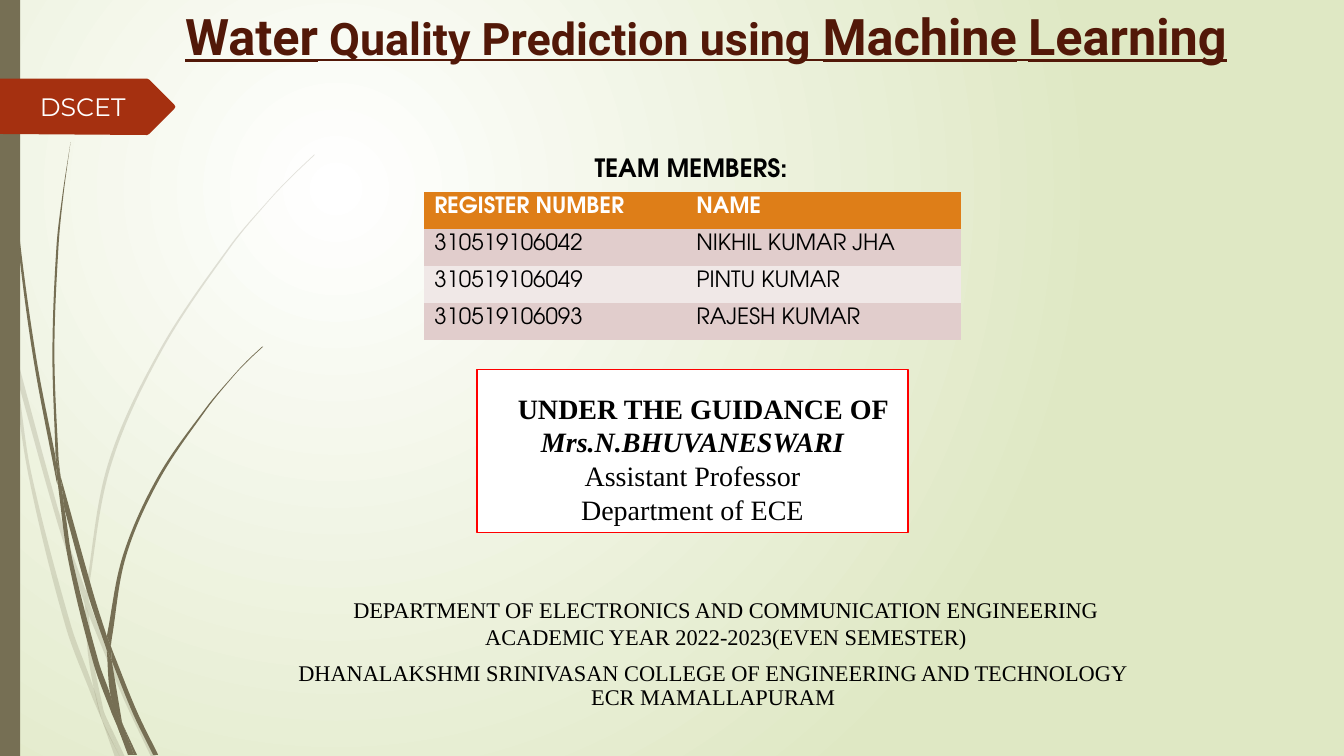
from dataclasses import dataclass
from math import hypot

from lxml.etree import SubElement
from pptx import Presentation
from pptx.dml.color import RGBColor
from pptx.enum.shapes import MSO_SHAPE
from pptx.enum.text import MSO_ANCHOR, PP_ALIGN
from pptx.oxml.ns import qn
from pptx.util import Emu, Pt

COLUMNS, ROWS, CELL = 160, 90, 76200
BLADE_CELLS = 12
NO_TABLE_STYLE = "{2D5ABB26-0587-4C30-8999-92F81FD0307C}"


@dataclass(frozen=True)
class Theme:
    black: str = "000000"
    white: str = "FFFFFF"
    meadow: str = "DFE8C4"
    stem: str = "766F54"
    badge: str = "A53010"
    title: str = "521808"
    frame: str = "FF0000"
    header: str = "DE7E18"
    bands: tuple = ("E1CDCC", "F0E8E7")
    serif: str = "Times New Roman"
    heading: str = "Roboto"
    roster: str = "TeX Gyre Adventor"
    label: str = "Montserrat"
    large: int = 36
    big: int = 32
    medium: int = 20
    normal: int = 18
    small: int = 16


THEME = Theme()
FAINT_BLADES = [
    ([(0, 2.82), (.09, 3.22), (.11, 3.5)], [(.1, 3.44), (0, 2.99)]),
    ([(.14, 3.45), (.62, 5.2), (.85, 5.86)], [(.84, 5.99), (.58, 5.22), (.17, 3.76)]),
    ([(.88, 5.96), (.92, 6.07), (1.27, 6.92), (1.55, 7.51)], [(1.5, 7.51), (1.23, 6.94), (.88, 6.1)]),
    ([(1.05, 7.11), (1.24, 7.51)], [(1.19, 7.51)]),
    ([(.11, 3.5), (.17, 3.76), (.31, 4.69), (.7, 6.19), (.93, 6.83), (1.01, 7.14)],
     [(.92, 6.93), (.65, 6.21), (.28, 4.7), (.11, 3.5)]),
    ([(.84, 5.99), (.88, 6.1), (.91, 6.46), (1.03, 7.06), (1.05, 7.11)],
     [(.96, 6.92), (.93, 6.83), (.87, 6.46), (.84, 5.99)]),
    ([(3.12, 1.53), (2.89, 1.75), (2.68, 1.97), (2.28, 2.44), (1.58, 3.48), (1.07, 4.61), (.85, 5.86)],
     [(.88, 5.96), (.88, 5.84), (1.1, 4.62), (1.6, 3.49), (2.29, 2.45), (2.68, 1.98), (2.9, 1.75), (3.12, 1.54)]),
    ([(1.01, 7.14), (1.14, 7.51)], [(1.19, 7.51)]),
    ([(.85, 5.86), (.84, 5.99)], [(.88, 6.1), (.88, 5.96)]),
    ([(.93, 6.83), (1.01, 7.14), (1.19, 7.51)], [(1.05, 7.11), (.96, 6.92)]),
]
DARK_BLADES = [
    ([(.03, 0), (.04, .48), (.07, 1.1), (.17, 2.33), (.33, 3.55), (.56, 4.77), (.57, 4.81)],
     [(.55, 4.53), (.36, 3.55), (.19, 2.32), (.08, 1.09), (.05, .48), (.04, 0)]),
    ([(.6, 4.72), (.93, 5.9), (1.06, 6.31)], [(1.06, 6.45), (.88, 5.92), (.64, 5.05)]),
    ([(1.1, 6.41), (1.13, 6.49), (1.36, 7.06), (1.57, 7.49)], [(1.52, 7.49), (1.32, 7.08), (1.11, 6.56)]),
    ([(.57, 4.77), (.64, 5.05), (.72, 5.56), (.98, 6.57), (1.1, 6.91), (1.17, 7.22)],
     [(1.11, 7.08), (.93, 6.59), (.68, 5.57), (.57, 4.77)]),
    ([(.7, 1.41), (.62, 1.93), (.56, 2.45), (.52, 3.49), (.55, 4.49)],
     [(.6, 4.72), (.58, 4.53), (.54, 3.49), (.58, 2.45), (.63, 1.93), (.7, 1.41)]),
    ([(1.22, 7.19), (1.36, 7.49)], [(1.33, 7.49)]),
    ([(.55, 4.49), (.57, 4.77), (.64, 5.05)], [(.6, 4.72)]),
    ([(2.6, 3.44), (2.45, 3.58), (2.31, 3.73), (2.04, 4.05), (1.56, 4.74), (1.22, 5.51), (1.06, 6.31)],
     [(1.1, 6.41), (1.11, 6.33), (1.25, 5.52), (1.58, 4.76), (2.05, 4.06), (2.31, 3.74), (2.45, 3.59), (2.61, 3.44)]),
    ([(1.17, 7.22), (1.27, 7.49)], [(1.31, 7.49)]),
    ([(1.06, 6.45), (1.1, 6.91), (1.22, 7.19)], [(1.21, 7.16), (1.11, 6.56)]),
    ([(1.06, 6.31), (1.06, 6.45)], [(1.11, 6.56), (1.1, 6.41)]),
    ([(1.1, 6.91), (1.17, 7.22), (1.3, 7.49)], [(1.33, 7.49), (1.22, 7.19), (1.16, 7.06)]),
]
BADGE = [(0, .78), (1.46, .78), (1.48, .79), (1.73, 1.04), (1.74, 1.06), (1.73, 1.08),
         (1.48, 1.33), (1.46, 1.34), (0, 1.33)]
TEAM = [("REGISTER NUMBER", "NAME"), ("310519106042", "NIKHIL KUMAR JHA"),
        ("310519106049", "PINTU KUMAR"), ("310519106093", "RAJESH KUMAR")]


def grid(*lengths):
    return [Emu(round(length * CELL)) for length in lengths]


def paint(target, color):
    target.solid()
    target.fore_color.rgb = RGBColor.from_string(color)


def paint_background(page):
    fill = page.background.fill
    fill.gradient()
    for stop, color in zip(fill.gradient_stops, (THEME.white, THEME.meadow)):
        stop.color.rgb = RGBColor.from_string(color)
    gradient = next(page.background._cSld.iter(qn("a:gradFill")))
    for line in gradient.findall(qn("a:lin")):
        gradient.remove(line)
    circle = SubElement(gradient, qn("a:path"), path="circle")
    SubElement(circle, qn("a:fillToRect"), l="50000", t="50000", r="100000", b="100000")


def add_outline(page, points, color):
    corners = [grid(x * BLADE_CELLS, y * BLADE_CELLS) for x, y in points]
    builder = page.shapes.build_freeform(*corners[0], scale=1.0)
    builder.add_line_segments(corners[1:], close=True)
    shape = builder.convert_to_shape()
    shape.shadow.inherit = False
    shape.line.fill.background()
    paint(shape.fill, color)
    return shape


def handle(knots, index, other):
    (x, y), (ax, ay) = knots[index], knots[other]
    (bx, by), (cx, cy) = knots[max(index - 1, 0)], knots[min(index + 1, len(knots) - 1)]
    reach = hypot(ax - x, ay - y) / 3 / (hypot(cx - bx, cy - by) or 1) * (other - index)
    return x + (cx - bx) * reach, y + (cy - by) * reach


def bend_edge(segments, knots):
    for index, segment in enumerate(segments):
        segment.tag = qn("a:cubicBezTo")
        controls = handle(knots, index, index + 1), handle(knots, index + 1, index)
        for position, (x, y) in enumerate(controls):
            point = SubElement(segment, qn("a:pt"), x=str(round(x)), y=str(round(y)))
            segment.insert(position, point)


def add_blade(page, down, up, alpha=None):
    blade = add_outline(page, down + up, THEME.stem)
    properties = blade._element.spPr
    knots = [(int(point.get("x")), int(point.get("y"))) for point in properties.iter(qn("a:pt"))]
    segments = list(properties.iter(qn("a:lnTo")))
    turn = len(down)
    bend_edge(segments[:turn - 1], knots[:turn])
    bend_edge(segments[turn:turn + len(up) - 1], knots[turn:turn + len(up)])
    if alpha:
        SubElement(next(properties.iter(qn("a:srgbClr"))), qn("a:alpha"), val=str(alpha * 1000))


def add_block(page, place, fill, line=None):
    block = page.shapes.add_shape(MSO_SHAPE.RECTANGLE, *grid(*place))
    block.shadow.inherit = False
    paint(block.fill, fill)
    block.line.fill.background()
    if line:
        paint(block.line.fill, line)
        block.line.width = Pt(1.25)
    return block


def write_span(para, text, *, size, font, color=THEME.black, bold=False, italic=False, underline=False):
    span = para.add_run()
    span.text = text
    span.font.size, span.font.name = Pt(size), font
    span.font.color.rgb = RGBColor.from_string(color)
    span.font.bold, span.font.italic, span.font.underline = bold, italic, underline


def write_lines(box, lines, *, anchor=MSO_ANCHOR.TOP, align=PP_ALIGN.CENTER, spacing=None, **style):
    frame = box.text_frame
    frame.word_wrap = True
    frame.vertical_anchor = anchor
    for index, line in enumerate(lines):
        para = frame.add_paragraph() if index else frame.paragraphs[0]
        para.alignment, para.line_spacing = align, spacing
        for text, changes in [(line, {})] if isinstance(line, str) else line:
            write_span(para, text, **{**style, **changes})
    return frame.paragraphs


def add_text(page, place, lines, **style):
    return write_lines(page.shapes.add_textbox(*grid(*place)), lines, **style)


def add_roster(page, left, top, widths, height):
    place = grid(left, top, sum(widths), height * len(TEAM))
    table = page.shapes.add_table(len(TEAM), len(widths), *place).table
    table._tbl.tblPr.find(qn("a:tableStyleId")).text = NO_TABLE_STYLE
    for column, width in zip(table.columns, grid(*widths)):
        column.width = width
    for index, record in enumerate(TEAM):
        table.rows[index].height = grid(height)[0]
        fill = THEME.bands[(index - 1) % 2] if index else THEME.header
        color = THEME.black if index else THEME.white
        for cell, text in zip(table.rows[index].cells, record):
            paint(cell.fill, fill)
            write_span(cell.text_frame.paragraphs[0], text, size=THEME.small,
                       font=THEME.roster, bold=index == 0, color=color)


def main():
    deck = Presentation()
    deck.slide_width, deck.slide_height = grid(COLUMNS, ROWS)
    page = deck.slides.add_slide(deck.slide_layouts[6])
    paint_background(page)
    for blades, alpha in ((FAINT_BLADES, 20), (DARK_BLADES, None)):
        for down, up in blades:
            add_blade(page, down, up, alpha)
    add_block(page, (0, 0, 2.4, ROWS), THEME.stem)
    add_outline(page, BADGE, THEME.badge)
    footer = {"size": THEME.small, "font": THEME.serif}
    add_text(page, (24.84, 78.12, 120.12, 7.2),
             ["DHANALAKSHMI SRINIVASAN COLLEGE OF ENGINEERING AND TECHNOLOGY", "ECR MAMALLAPURAM"],
             anchor=MSO_ANCHOR.MIDDLE, spacing=0.9, **footer)
    add_text(page, (34.1, 70.39, 104.64, 7.68),
             ["DEPARTMENT OF ELECTRONICS AND COMMUNICATION ENGINEERING",
              "ACADEMIC YEAR 2022-2023(EVEN SEMESTER)"], **footer)
    large = {"size": THEME.large}
    add_text(page, (14.2, 0, 139.68, 15.72),
             [[("Water", large), (" Quality Prediction using ", {}), ("Machine", large),
               (" ", {}), ("Learning", large)]],
             size=THEME.big, font=THEME.heading, color=THEME.title, bold=True, underline=True)
    guidance = add_block(page, (56.76, 43.99, 51.36, 19.4), THEME.white, THEME.frame)
    paras = write_lines(guidance, [[("UNDER THE GUIDANCE OF", {"bold": True})],
                                   [("Mrs.N.BHUVANESWARI", {"bold": True, "italic": True})],
                                   "Assistant Professor", "Department of ECE"],
                        size=THEME.medium, font=THEME.serif)
    paras[0].line_spacing = 1.5
    paras[0]._p.get_or_add_pPr().set("marL", str(grid(2.6)[0]))
    add_text(page, (69.6, 17.52, 32.76, 4.8), ["TEAM MEMBERS:"],
             align=PP_ALIGN.LEFT, size=THEME.normal, font=THEME.roster, bold=True)
    add_roster(page, 50.5, 22.83, (31.2, 32.7), 4.41)
    write_lines(add_block(page, (1.92, 10.85, 15.84, 3.6), THEME.badge), ["DSCET"],
                anchor=MSO_ANCHOR.MIDDLE, size=THEME.normal, font=THEME.label, color=THEME.white)
    deck.save("out.pptx")


if __name__ == "__main__":
    main()
